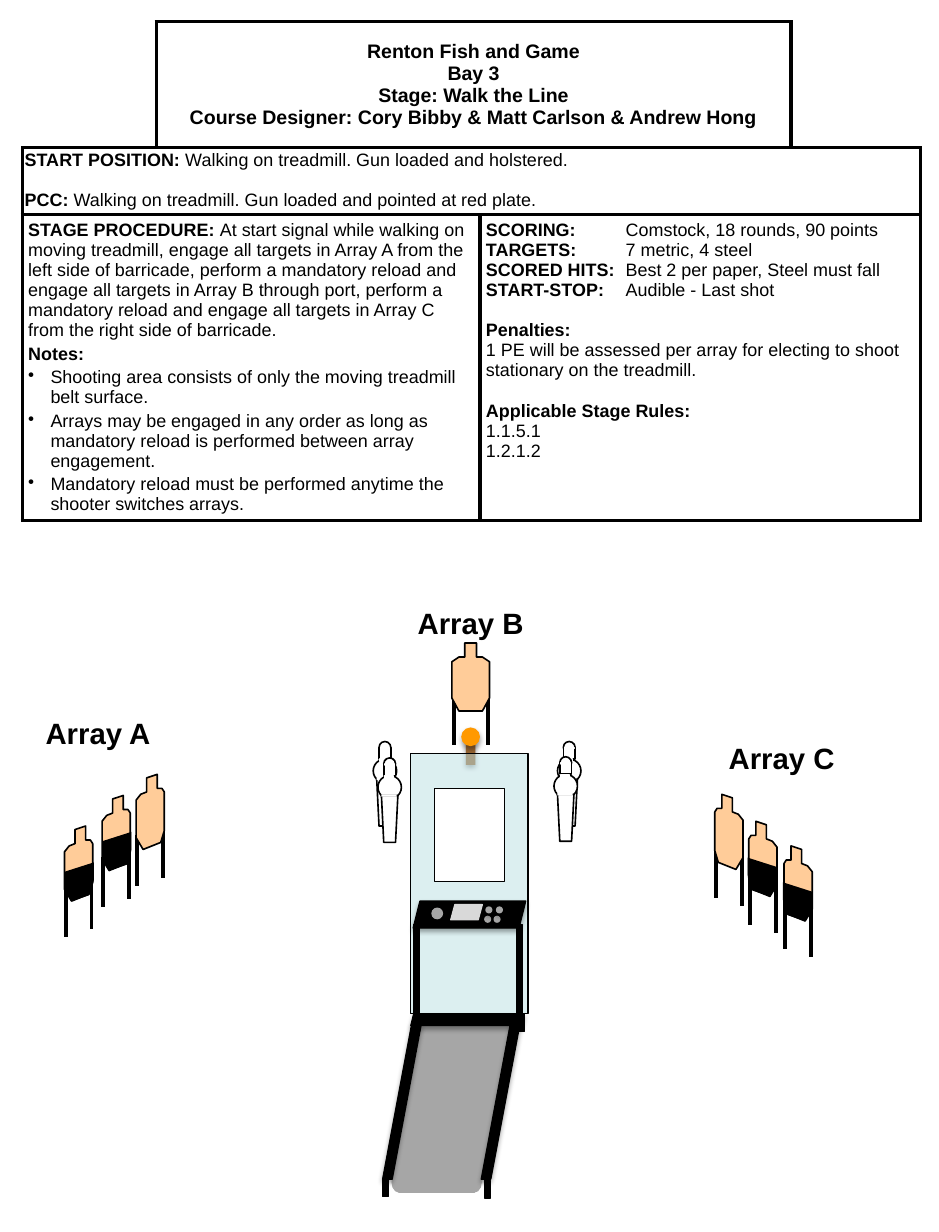
from dataclasses import dataclass
from lxml.etree import SubElement
from pptx import Presentation
from pptx.dml.color import RGBColor as Color
from pptx.enum.shapes import MSO_CONNECTOR as Connector, MSO_SHAPE as Shape
from pptx.enum.text import MSO_ANCHOR as Anchor, MSO_AUTO_SIZE as AutoSize, PP_ALIGN as Align
from pptx.oxml import parse_xml
from pptx.oxml.ns import nsdecls, qn
from pptx.util import Inches, Pt


@dataclass(frozen=True)
class Theme:
    font: str = "Arial"
    black: str = "000000"
    white: str = "FFFFFF"
    tan: str = "FFCC99"
    orange: str = "FF9900"
    brown: str = "996633"
    wall: str = "BBE0E3"
    gray: str = "A6A6A6"
    screen: str = "D9D9D9"
    body: float = 11
    heading: float = 12
    label: float = 18
    thin: float = 0.75
    outline: float = 1
    thick: float = 2.25


class StagePage:
    def __init__(self, slide, theme):
        self.slide = slide
        self.theme = theme
        self.canvas = slide.shapes

    def group(self):
        self.canvas = self.slide.shapes.add_group_shape().shapes

    def ungroup(self):
        self.canvas = self.slide.shapes

    def paint(self, shape, fill, line, width):
        shape.shadow.inherit = False
        shape.fill.solid()
        shape.fill.fore_color.rgb = Color.from_string(fill)
        if line:
            shape.line.color.rgb = Color.from_string(line)
            shape.line.width = Pt(width)
        else:
            shape.line.fill.background()

    def shape(self, kind, at, fill, line=None, width=0.75, shadow=False, adjust=None, alpha=None):
        shape = self.canvas.add_shape(kind, *map(Inches, at))
        self.paint(shape, fill, line, width)
        if adjust is not None:
            shape.adjustments[0] = adjust
        if alpha is not None:
            tint = shape._element.spPr.find(qn("a:solidFill"))[0]
            SubElement(tint, qn("a:alpha"), val=str(alpha * 1000))
        if shadow:
            effects = shape._element.spPr.find(qn("a:effectLst"))
            effects.append(parse_xml(
                f'<a:outerShdw {nsdecls("a")} blurRad="{Pt(3.1)}" dist="{Pt(1.8)}" dir="5400000" rotWithShape="0">'
                f'<a:srgbClr val="{self.theme.black}"><a:alpha val="35000"/></a:srgbClr></a:outerShdw>'))

    def outline(self, points, fill, line=None):
        spots = [(Inches(x), Inches(y)) for x, y in points]
        builder = self.canvas.build_freeform(*spots[0])
        builder.add_line_segments(spots[1:], close=True)
        self.paint(builder.convert_to_shape(), fill, line, self.theme.outline)

    def leg(self, x, top, bottom):
        leg = self.canvas.add_connector(Connector.STRAIGHT, *map(Inches, (x, top, x, bottom)))
        leg.line.color.rgb = Color.from_string(self.theme.black)
        leg.line.width = Pt(self.theme.thick)
        SubElement(leg._element.spPr, qn("a:effectLst"))

    def text(self, frame, lines, size, before=0, spacing=None, align=None, bullets=(), tab=None, gaps=None):
        for index, line in enumerate(lines):
            para = frame.paragraphs[0] if index == 0 else frame.add_paragraph()
            props = para._p.get_or_add_pPr()
            if index in bullets:
                props.set("marL", str(Inches(0.19)))
                props.set("indent", str(-Inches(0.19)))
                SubElement(props, qn("a:buChar"), char="•")
            if tab and "\t" in line:
                SubElement(SubElement(props, qn("a:tabLst")), qn("a:tab"), pos=str(Inches(tab)), algn="l")
            para.font.name = self.theme.font
            para.font.size = Pt(size)
            para.font.color.rgb = Color.from_string(self.theme.black)
            para.alignment = align
            para.line_spacing = spacing
            if index:
                para.space_before = Pt((gaps or {}).get(index, before))
            strong, bar, plain = line.partition("|")
            spans = [(words, bold) for words, bold in ((strong, True), (plain, False)) if words]
            if len(spans) == 1:
                para.font.bold = spans[0][1]
            for words, bold in spans:
                span = para.add_run()
                span.text = words
                if len(spans) > 1:
                    span.font.bold = bold

    def label(self, words, left, top):
        box = self.canvas.add_textbox(*map(Inches, (left, top, 1.17, 0.4)))
        box.text_frame.word_wrap = True
        box.text_frame.auto_size = AutoSize.SHAPE_TO_FIT_TEXT
        self.text(box.text_frame, [words], self.theme.label)

    def table(self, at, columns, rows):
        table = self.canvas.add_table(len(rows), len(columns), *map(Inches, at)).table
        table.first_row = table.horz_banding = False
        for column, width in zip(table.columns, columns):
            column.width = Inches(width)
        for row, height in zip(table.rows, rows):
            row.height = Inches(height)
        return table

    def cell(self, cell, sides="LRTB", inset=(0.05, 0.05)):
        props = cell._tc.get_or_add_tcPr()
        for side in sides:
            props.append(parse_xml(
                f'<a:ln{side} {nsdecls("a")} w="{Pt(self.theme.thick)}"><a:solidFill>'
                f'<a:srgbClr val="{self.theme.black}"/></a:solidFill></a:ln{side}>'))
        cell.fill.solid()
        cell.fill.fore_color.rgb = Color.from_string(self.theme.white)
        cell.margin_left = cell.margin_right = Inches(inset[0])
        cell.margin_top = cell.margin_bottom = Inches(inset[1])

    def target(self, left, top, mirrored=False, hard_cover=True):
        def place(points):
            return [(left + (0.24 - x if mirrored else x), top + y) for x, y in points]

        self.group()
        for x, y in place([(0.01, 0.52), (0.23, 0.45)]):
            self.leg(x, y, y + 0.43)
        self.outline(place([(0.09, 0.03), (0.18, 0), (0.18, 0.12), (0.22, 0.12), (0.24, 0.15), (0.24, 0.48),
                            (0.21, 0.58), (0.06, 0.64), (0, 0.54), (0, 0.22), (0.04, 0.17), (0.09, 0.15)]),
                     self.theme.tan, self.theme.black)
        if hard_cover:
            self.outline(place([(0, 0.55), (0.06, 0.64), (0.21, 0.59), (0.25, 0.46), (0.25, 0.31), (0, 0.39)]),
                         self.theme.black)
        self.ungroup()

    def popper(self, left, top):
        white, black = self.theme.white, self.theme.black
        self.group()
        for kind, x, y, wide, high, line in [
            (Shape.OVAL, 0.05, 0, 0.1, 0.1, black),
            (Shape.OVAL, 0, 0.15, 0.2, 0.2, black),
            (None, 0.03, 0.32, 0.14, 0.4, black),
            (Shape.RECTANGLE, 0.05, 0.05, 0.1, 0.1, black),
            (Shape.RECTANGLE, 0.03, 0.31, 0.13, 0.02, None),
            (Shape.RECTANGLE, 0.06, 0.15, 0.07, 0.02, white),
            (Shape.RECTANGLE, 0.06, 0.05, 0.08, 0.01, white),
        ]:
            x, y = left + x, top + y
            if kind:
                self.shape(kind, (x, y, wide, high), white, line, self.theme.outline)
            else:
                self.outline([(x, y), (x + wide, y), (x + wide - 0.02, y + high), (x + 0.02, y + high)], white, line)
        self.ungroup()


def add_briefing(page):
    theme = page.theme
    table = page.table((0.19, 0.18, 7.65, 4.25), [1.14, 2.76, 2.65, 1.1], [1.08, 0.57, 2.6])
    for row in range(3):
        for column in range(4):
            sides = {(0, 0): "RB", (0, 3): "LB"}.get((row, column), "LRTB")
            page.cell(table.cell(row, column), sides, (0.02, 0.04) if row == 1 else (0.05, 0.05))
    for row, first, last in [(0, 1, 2), (1, 0, 3), (2, 0, 1), (2, 2, 3)]:
        table.cell(row, first).merge(table.cell(row, last))
    title = table.cell(0, 1)
    title.vertical_anchor = Anchor.MIDDLE
    page.text(title.text_frame, ["Renton Fish and Game", "Bay 3", "Stage: Walk the Line",
              "Course Designer: Cory Bibby & Matt Carlson & Andrew Hong"], theme.heading, align=Align.CENTER)
    page.text(table.cell(1, 0).text_frame, [
        "START POSITION:| Walking on treadmill. Gun loaded and holstered.",
        "PCC: |Walking on treadmill. Gun loaded and pointed at red plate.",
    ], theme.body, before=13.2, spacing=0.9)
    page.text(table.cell(2, 0).text_frame, [
        "STAGE PROCEDURE: |At start signal while walking on moving treadmill, engage all targets in Array A from "
        "the left side of barricade, perform a mandatory reload and engage all targets in Array B through port, "
        "perform a mandatory reload and engage all targets in Array C from the right side of barricade.",
        "Notes:",
        "|Shooting area consists of only the moving treadmill belt surface.",
        "|Arrays may be engaged in any order as long as mandatory reload is performed between array engagement.",
        "|Mandatory reload must be performed anytime the shooter switches arrays.",
    ], theme.body, before=2.2, bullets=(2, 3, 4))
    page.text(table.cell(2, 2).text_frame, [
        "SCORING:|\tComstock, 18 rounds, 90 points", "TARGETS:|\t7 metric, 4 steel",
        "SCORED HITS:|\tBest 2 per paper, Steel must fall", "START-STOP:|\tAudible - Last shot",
        "Penalties:", "|1 PE will be assessed per array for electing to shoot stationary on the treadmill.",
        "Applicable Stage Rules:", "|1.1.5.1", "|1.2.1.2",
    ], theme.body, tab=1.19, gaps={4: 12.5, 6: 12.5})


def add_barricade(page):
    theme = page.theme
    page.group()
    page.shape(Shape.RECTANGLE, (3.97, 6.3, 0.08, 0.22), theme.brown, shadow=True)
    page.shape(Shape.OVAL, (3.93, 6.2, 0.16, 0.16), theme.orange, shadow=True)
    page.group()
    page.shape(Shape.RECTANGLE, (3.5, 6.42, 1, 2.22), theme.wall, theme.black, theme.thin, alpha=50)
    page.shape(Shape.RECTANGLE, (3.7, 6.72, 0.6, 0.79), theme.white, theme.black, theme.thin)
    page.ungroup()


def add_treadmill(page):
    black, gray, screen = page.theme.black, page.theme.gray, page.theme.screen
    slant, oval, bar = Shape.PARALLELOGRAM, Shape.OVAL, Shape.RECTANGLE
    belt_end = [(oval, (x, 9.99, 0.12, 0.17), gray, False, None) for x in (3.98, 3.34)]
    rails = [(slant, (x, 8.73, 0.33, 1.32), black, True, 0.75) for x in (3.26, 4.1)]
    posts = [(bar, (x, 7.88, 0.05, 0.8), black, False, None) for x in (3.52, 4.4)]
    buttons = [(oval, (x, y, 0.05, 0.05), gray, True, None)
               for x, y in [(4.13, 7.81), (4.14, 7.73), (4.21, 7.81), (4.23, 7.73)]]
    feet = [(bar, (x, y, 0.05, 0.15), black, False, None) for x, y in [(3.26, 10.05), (4.13, 10.06), (4.42, 8.64)]]
    for kind, at, fill, shadow, adjust in [
        (slant, (3.35, 8.73, 1, 1.32), gray, True, None), *belt_end,
        (bar, (3.4, 9.99, 0.64, 0.17), gray, False, None), *rails,
        (slant, (3.5, 8.64, 0.96, 0.1), black, True, None), *posts,
        (slant, (3.52, 7.68, 0.96, 0.23), black, True, None),
        (oval, (3.68, 7.74, 0.09, 0.09), gray, True, None),
        (slant, (3.84, 7.71, 0.27, 0.13), screen, True, 0.27), *buttons, *feet,
    ]:
        page.shape(kind, at, fill, fill, page.theme.thin, shadow, adjust)


def add_center_target(page):
    page.group()
    for x in (3.87, 4.16):
        page.leg(x, 5.91, 6.35)
    half = [(0.05, 5.48), (0.05, 5.6), (0.1, 5.6), (0.16, 5.64), (0.16, 5.95), (0.1, 6.06)]
    page.outline([(4.01 + x, y) for x, y in half] + [(4.01 - x, y) for x, y in reversed(half)],
                 page.theme.tan, page.theme.black)
    page.ungroup()


def main():
    deck = Presentation()
    deck.slide_width, deck.slide_height = Inches(8), Inches(10.5)
    page = StagePage(deck.slides.add_slide(deck.slide_layouts[6]), Theme())
    for left, top in [(3.18, 6.32), (4.75, 6.32)]:
        page.popper(left, top)
    add_barricade(page)
    add_briefing(page)
    for left, top, mirrored, hard_cover in [
        (0.55, 7.04, False, True), (0.87, 6.78, False, True), (1.16, 6.6, False, False),
        (6.38, 7, True, True), (6.68, 7.21, True, True), (6.09, 6.77, True, False),
    ]:
        page.target(left, top, mirrored, hard_cover)
    for left, top in [(3.22, 6.46), (4.72, 6.45)]:
        page.popper(left, top)
    add_treadmill(page)
    for words, left, top in [("Array A", 0.29, 6.05), ("Array B", 3.46, 5.11), ("Array C", 6.11, 6.26)]:
        page.label(words, left, top)
    add_center_target(page)
    deck.save("out.pptx")


if __name__ == "__main__":
    main()
